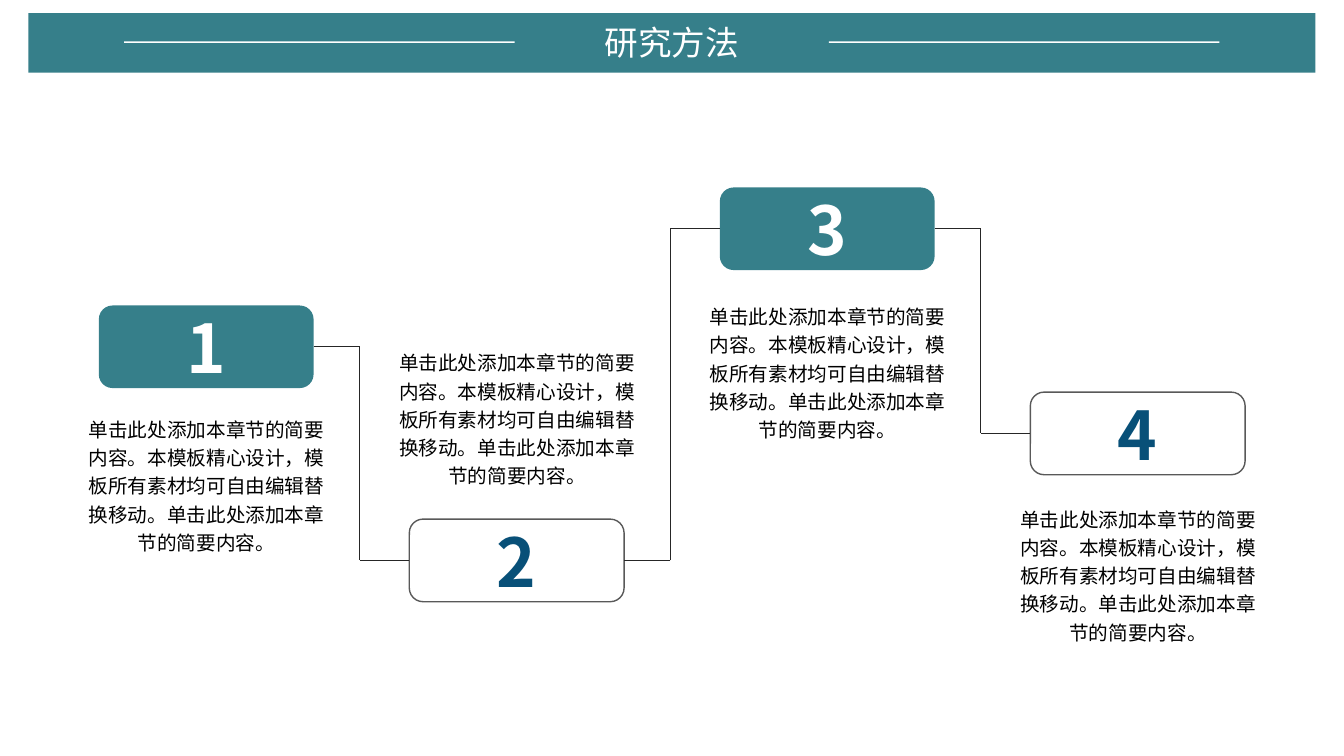
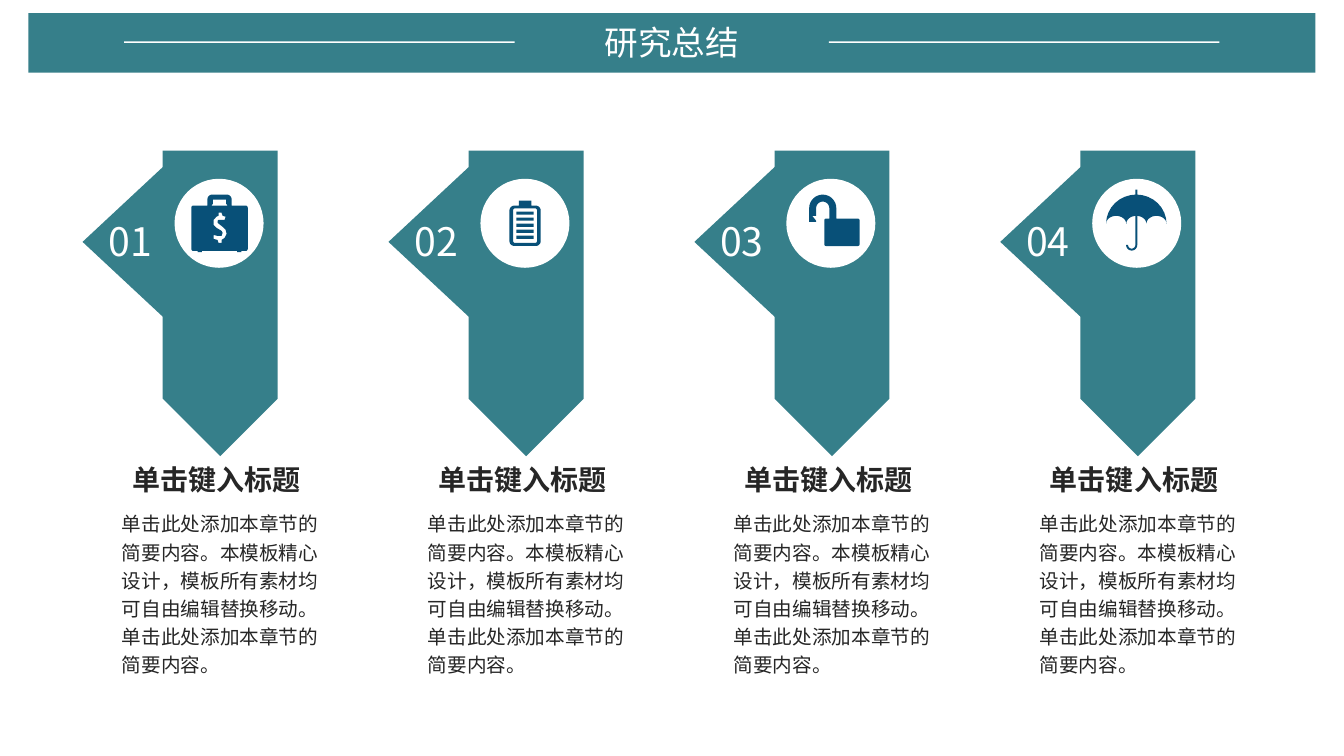
from itertools import pairwise
from math import cos, radians, sin

from lxml import etree
from pptx import Presentation
from pptx.dml.color import RGBColor
from pptx.enum import shapes as kinds
from pptx.enum import text as texts
from pptx.oxml import ns
from pptx.util import Pt

TEAL = RGBColor(0x36, 0x7F, 0x8A)
NAVY = RGBColor(0x08, 0x50, 0x78)
WHITE = RGBColor(0xFF, 0xFF, 0xFF)
BLACK = RGBColor(0, 0, 0)
DARK = RGBColor(0x26, 0x26, 0x26)
GREY = RGBColor(0x59, 0x59, 0x59)
FONT = "Noto Sans CJK SC"
SHAPE = kinds.MSO_SHAPE
CENTER = texts.PP_ALIGN.CENTER
LEFT = texts.PP_ALIGN.LEFT
TOP = texts.MSO_ANCHOR.TOP
MIDDLE = texts.MSO_ANCHOR.MIDDLE
BODY = "单击此处添加本章节的简要内容。本模板精心设计，模板所有素材均可自由编辑替换移动。单击此处添加本章节的简要内容。"


def style(shape, fill=None, line=None):
    """Set fill and outline, and drop the shadow."""
    shape.shadow.inherit = False
    if fill is None:
        shape.fill.background()
    else:
        shape.fill.solid()
        shape.fill.fore_color.rgb = fill
    if line is None:
        shape.line.fill.background()
    else:
        shape.line.color.rgb = line
        shape.line.width = Pt(1)


def add_box(slide, kind, box, fill=None, line=None):
    """Draw a preset shape in a box given in points."""
    shape = slide.shapes.add_shape(kind, *map(Pt, box))
    style(shape, fill, line)
    return shape


def add_text(slide, box, content, size, color, bold=False, align=CENTER, anchor=MIDDLE, spacing=1.0):
    """Write one paragraph in a wrapping text box."""
    frame = slide.shapes.add_textbox(*map(Pt, box)).text_frame
    frame.word_wrap = True
    frame.vertical_anchor = anchor
    paragraph = frame.paragraphs[0]
    paragraph.text = content
    paragraph.alignment = align
    paragraph.line_spacing = spacing
    font = paragraph.font
    font.name, font.size, font.bold = FONT, Pt(size), bold
    font.color.rgb = color
    properties = paragraph.runs[0].font
    properties.name = FONT
    east_asian = etree.SubElement(paragraph.runs[0]._r.get_or_add_rPr(), ns.qn("a:ea"))
    east_asian.set("typeface", FONT)


def add_line(slide, start, end):
    """Draw a thin straight connector."""
    line = slide.shapes.add_connector(kinds.MSO_CONNECTOR.STRAIGHT, *map(Pt, start + end))
    line.line.color.rgb = DARK
    line.line.width = Pt(0.5)
    etree.SubElement(line._element.spPr, ns.qn("a:effectLst"))


def add_header(slide, title):
    """Draw the title band with a rule on each side."""
    add_box(slide, SHAPE.RECTANGLE, (20.2, 9.4, 919.4, 42.5), TEAL)
    add_text(slide, (379.5, 12.2, 201, 36), title, 24, WHITE)
    for left in (88.6, 592):
        add_box(slide, SHAPE.RECTANGLE, (left, 29.5, 279, 1.2), WHITE)


def add_step(slide, left, top, number, text_offset):
    """Draw a numbered step and its description."""
    filled = number % 2 == 1
    box = (left, top, 153.4, 59)
    add_box(slide, SHAPE.ROUNDED_RECTANGLE, box, TEAL if filled else None, None if filled else GREY)
    add_text(slide, box, str(number), 48, WHITE if filled else NAVY, True)
    add_text(slide, (left - 19.6, top + text_offset, 193, 108.7), BODY, 14, BLACK, anchor=TOP, spacing=1.2)


def add_elbow(slide, start, end):
    """Join two steps with a three-part elbow."""
    bend = start[0] + 33
    corners = (start, (bend, start[1]), (bend, end[1]), end)
    for first, second in pairwise(corners):
        add_line(slide, first, second)


def build_methods(slide):
    """Build the slide of four linked steps."""
    add_header(slide, "研究方法")
    steps = [(218.2, 73.4), (370.8, -126.7), (133.9, 77.1), (280.1, 75.6)]
    places = []
    for index, (top, text_offset) in enumerate(steps):
        left = 70.6 + 221.8 * index
        add_step(slide, left, top, index + 1, text_offset)
        places.append((left, top + 29.5))
    for (left, middle), end in pairwise(places):
        add_elbow(slide, (left + 153.4, middle), end)


def arc(x, y, radius_x, radius_y, start, end):
    """Return points along an elliptical arc."""
    angles = [radians(start + (end - start) * step / 16) for step in range(17)]
    return [(x + radius_x * cos(angle), y + radius_y * sin(angle)) for angle in angles]


def rounded(left, top, right, bottom, radius=0.0):
    """Return the outline of a rectangle with round corners."""
    if not radius:
        return [(left, top), (right, top), (right, bottom), (left, bottom)]
    centers = [
        (right - radius, bottom - radius), (left + radius, bottom - radius),
        (left + radius, top + radius), (right - radius, top + radius),
    ]
    return [
        point
        for turn, (x, y) in enumerate(centers)
        for point in arc(x, y, radius, radius, 90 * turn, 90 * turn + 90)
    ]


def briefcase():
    """Return the outlines of a briefcase with a dollar sign."""
    dollar = [
        (43, 33), (43, 36), (41, 37), (38, 40), (38, 45), (41, 48), (46, 51),
        (47, 53), (46, 56), (42, 56), (38, 55), (38, 59), (42, 60), (43, 63),
        (46, 63), (46, 60), (49, 58), (51, 54), (50, 50), (47, 47), (42, 43),
        (42, 41), (43, 40), (46, 40), (49, 40), (50, 37), (47, 36), (46, 33),
    ]
    handle = [
        (23, 18.7), (23, 14), *arc(26.5, 14.3, 3.5, 3.5, 180, 270),
        *arc(36.8, 14.3, 3.5, 3.5, 270, 360), (40.3, 18.7),
        (37.4, 18.7), (36.4, 17.3), (36.4, 14.4), (26.9, 14.4), (26.9, 17.3), (25.9, 18.7),
    ]
    feet = [rounded(left, 51.1, left + 3, 51.9) for left in (16, 44.3)]
    return [
        rounded(11.5, 18.7, 51.8, 51.1, 1.5), handle, *feet,
        [(x * 0.72, y * 0.72) for x, y in dollar],
    ]


def battery():
    """Return the outlines of a charged battery."""
    stripes = [rounded(25.2, 23 + 4.3 * row, 37.5, 25.2 + 4.3 * row) for row in range(5)]
    return [
        rounded(20.2, 18.7, 42.5, 47.5, 3.5), rounded(22.8, 20.6, 39.9, 45.4, 1.5),
        rounded(26.9, 15.1, 35.8, 18.7), *stripes,
    ]


def padlock():
    """Return the outlines of an open padlock."""
    shackle = [
        (15.8, 30.2), *arc(25.5, 20.5, 9.7, 9.7, 180, 360), (35.2, 28), (30.2, 28),
        *arc(25.5, 20.5, 4.7, 4.7, 360, 180), (20.8, 26), (18, 26), (20.8, 29.5), (20.8, 30.2),
    ]
    return [shackle, rounded(26.6, 28, 51.8, 47.5, 1.2)]


def umbrella():
    """Return the outlines of an open umbrella."""
    canopy = arc(31, 31.7, 21.6, 20.9, 180, 360)
    for center in (45.4, 31, 16.6):
        canopy += arc(center, 31.7, 7.2, 5.7, 360, 180)
    handle = [
        (30.3, 26), (31.7, 26), *arc(27.7, 46.8, 4, 4, 0, 180),
        *arc(27.7, 46.8, 2.6, 2.6, 180, 0),
    ]
    return [canopy, handle, rounded(30.3, 7.2, 31.7, 10.8)]


def add_icon(slide, left, top, outlines):
    """Draw outlines as one freeform, with inner ones cut out."""
    placed = [[(Pt(left + x), Pt(top + y)) for x, y in outline] for outline in outlines]
    builder = slide.shapes.build_freeform(*placed[0][0], scale=1.0)
    for index, outline in enumerate(placed):
        if index:
            builder.move_to(*outline[0])
        builder.add_line_segments(outline[1:], close=True)
    style(builder.convert_to_shape(), NAVY)


def add_summary(slide, left, top, number, outlines):
    """Draw one pointed banner with its icon, heading and text."""
    add_box(slide, SHAPE.DIAMOND, (left, top, 139, 129.6), TEAL)
    banner = add_box(slide, SHAPE.PENTAGON, (left - 10.8, top + 67.7, 218.2, 82.1), TEAL)
    banner.rotation = 90
    add_box(slide, SHAPE.OVAL, (left + 66.2, top + 20.2, 62.6, 62.6), WHITE, WHITE)
    add_icon(slide, left + 66.2, top + 20.2, outlines)
    add_text(slide, (left + 4, top + 42, 60, 44), f"{number:02d}", 28, WHITE)
    add_text(slide, (left + 15.6, top + 218, 160, 32), "单击键入标题", 20, DARK, True)
    add_text(slide, (left + 21, top + 251, 160, 129), BODY, 14, DARK, align=LEFT, anchor=TOP, spacing=1.2)


def build_summary(slide):
    """Build the slide of four pointed banners."""
    add_header(slide, "研究总结")
    for index, icon in enumerate((briefcase, battery, padlock, umbrella)):
        add_summary(slide, 59 + 218.5 * index, 108, index + 1, icon())


def main():
    """Build and save the presentation."""
    presentation = Presentation()
    presentation.slide_width, presentation.slide_height = Pt(960), Pt(540)
    for build in (build_methods, build_summary):
        build(presentation.slides.add_slide(presentation.slide_layouts[6]))
    presentation.save("out.pptx")


if __name__ == "__main__":
    main()
